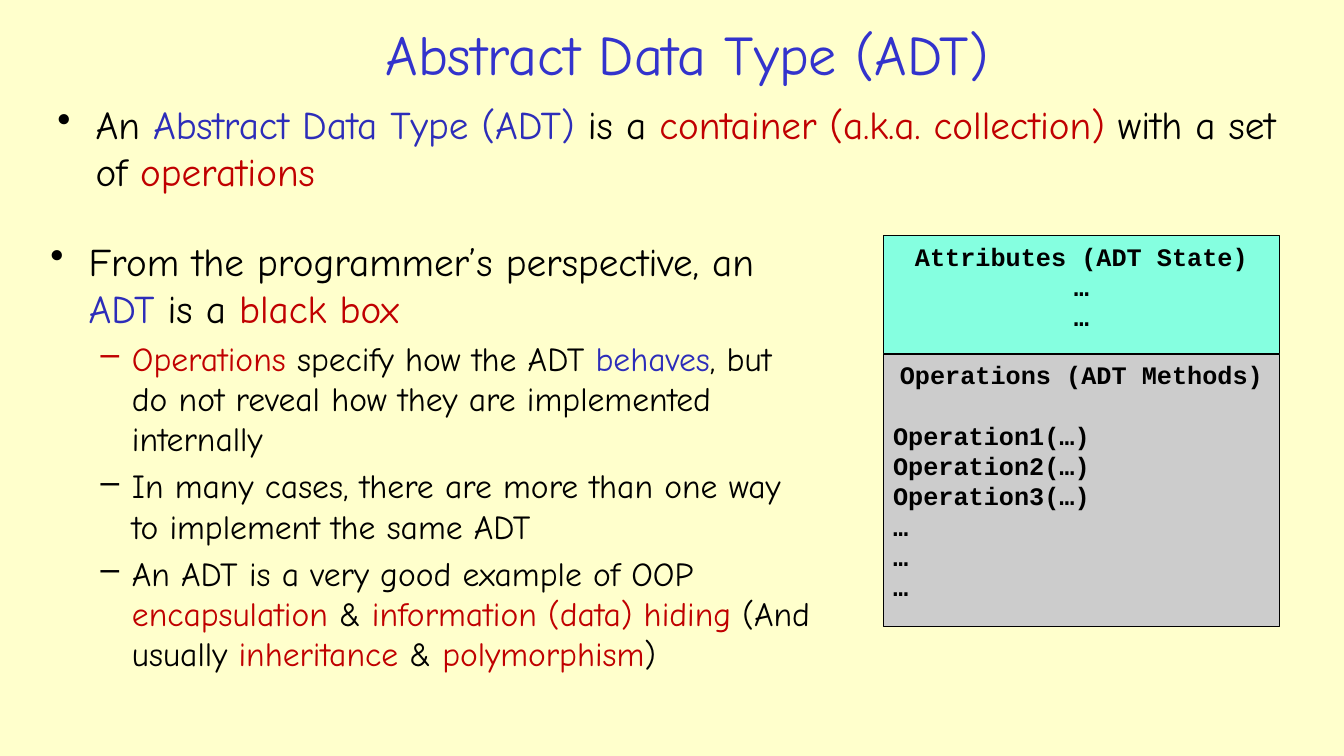
from lxml import etree
from pptx import Presentation
from pptx.dml.color import RGBColor
from pptx.enum.shapes import MSO_SHAPE
from pptx.enum.text import MSO_ANCHOR, PP_ALIGN
from pptx.oxml.ns import qn
from pptx.util import Inches, Pt

RECTANGLE = MSO_SHAPE.RECTANGLE
TOP, MIDDLE = MSO_ANCHOR.TOP, MSO_ANCHOR.MIDDLE
LEFT, CENTER = PP_ALIGN.LEFT, PP_ALIGN.CENTER
BLACK, BLUE, RED, TITLE_BLUE = "000000", "2D2DB9", "C00000", "3333CC"


def rgb(value):
    return RGBColor.from_string(value)


def add_run(paragraph, text, font_name, size, color, bold=False):
    run = paragraph.add_run()
    run.text = text
    run.font.name = font_name
    run.font.size = Pt(size)
    run.font.bold = bold
    run.font.color.rgb = rgb(color)


presentation = Presentation()
presentation.slide_width = Inches(13.33)
presentation.slide_height = Inches(7.5)
slide = presentation.slides.add_slide(presentation.slide_layouts[6])
slide.background.fill.solid()
slide.background.fill.fore_color.rgb = rgb("FFFFCC")

title = slide.shapes.add_textbox(Inches(2.12), Inches(0.15), Inches(9.39), Inches(0.76))
title.text_frame.word_wrap = True
title.text_frame.vertical_anchor = MIDDLE
title_paragraph = title.text_frame.paragraphs[0]
title_paragraph.alignment = CENTER
add_run(title_paragraph, "Abstract Data Type (ADT)", "Comic Neue", 40, TITLE_BLUE)

definition = [
    (0, [("An ", BLACK), ("Abstract Data Type (ADT) ", BLUE), ("is a ", BLACK),
         ("container (a.k.a. collection) ", RED), ("with a set of ", BLACK),
         ("operations", RED)]),
]
perspective = [
    (0, [("From the programmer’s perspective, an ", BLACK), ("ADT", BLUE),
         (" is a ", BLACK), ("black box", RED)]),
    (1, [("Operations", RED), (" specify how the ADT ", BLACK), ("behaves", BLUE),
         (", but do not reveal how they are implemented internally", BLACK)]),
    (1, [("In many cases, there are more than one way to implement the same ADT", BLACK)]),
    (1, [("An ADT is a very good example of OOP ", BLACK), ("encapsulation ", RED),
         ("&", BLACK), (" information (data) hiding ", RED), ("(And usually ", BLACK),
         ("inheritance", RED), (" & ", BLACK), ("polymorphism", RED), (")", BLACK)]),
]
level_styles = [("•", 28, 0.38, 0.38), ("–", 24, 0.81, 0.31)]
bullet_lists = [
    (0.47, 0.95, 12.59, 1.35, definition),
    (0.4, 2.3, 7.78, 4.88, perspective),
]
for left, top, width, height, items in bullet_lists:
    text_box = slide.shapes.add_textbox(Inches(left), Inches(top), Inches(width), Inches(height))
    frame = text_box.text_frame
    frame.word_wrap = True
    for index, (level, runs) in enumerate(items):
        bullet, size, margin, hanging = level_styles[level]
        paragraph = frame.add_paragraph() if index else frame.paragraphs[0]
        paragraph.level = level
        paragraph.space_before = Pt(size * 0.2)
        properties = paragraph._p.get_or_add_pPr()
        properties.set("marL", str(Inches(margin)))
        properties.set("indent", str(-Inches(hanging)))
        etree.SubElement(properties, qn("a:buChar")).set("char", bullet)
        for text, color in runs:
            add_run(paragraph, text, "Comic Neue", size, color)

class_sections = [
    (2.34, 1.17, "85FFE0", CENTER, 0, ["Attributes (ADT State)", "…", "…"]),
    (3.52, 2.7, "CCCCCC", LEFT, 21.6,
     ["Operations (ADT Methods)", "Operation1(…)", "Operation2(…)", "Operation3(…)",
      "…", "…", "…"]),
]
for top, height, fill, alignment, heading_gap, lines in class_sections:
    section = slide.shapes.add_shape(RECTANGLE, Inches(8.76), Inches(top), Inches(3.93), Inches(height))
    section.shadow.inherit = False
    section.fill.solid()
    section.fill.fore_color.rgb = rgb(fill)
    section.line.color.rgb = rgb(BLACK)
    section.line.width = Pt(0.75)
    frame = section.text_frame
    frame.word_wrap = True
    frame.vertical_anchor = TOP
    for index, line in enumerate(lines):
        paragraph = frame.add_paragraph() if index else frame.paragraphs[0]
        paragraph.alignment = alignment if index else CENTER
        paragraph.space_after = Pt(0 if index else heading_gap)
        add_run(paragraph, line, "Courier New", 18, BLACK, bold=True)

presentation.save("out.pptx")
